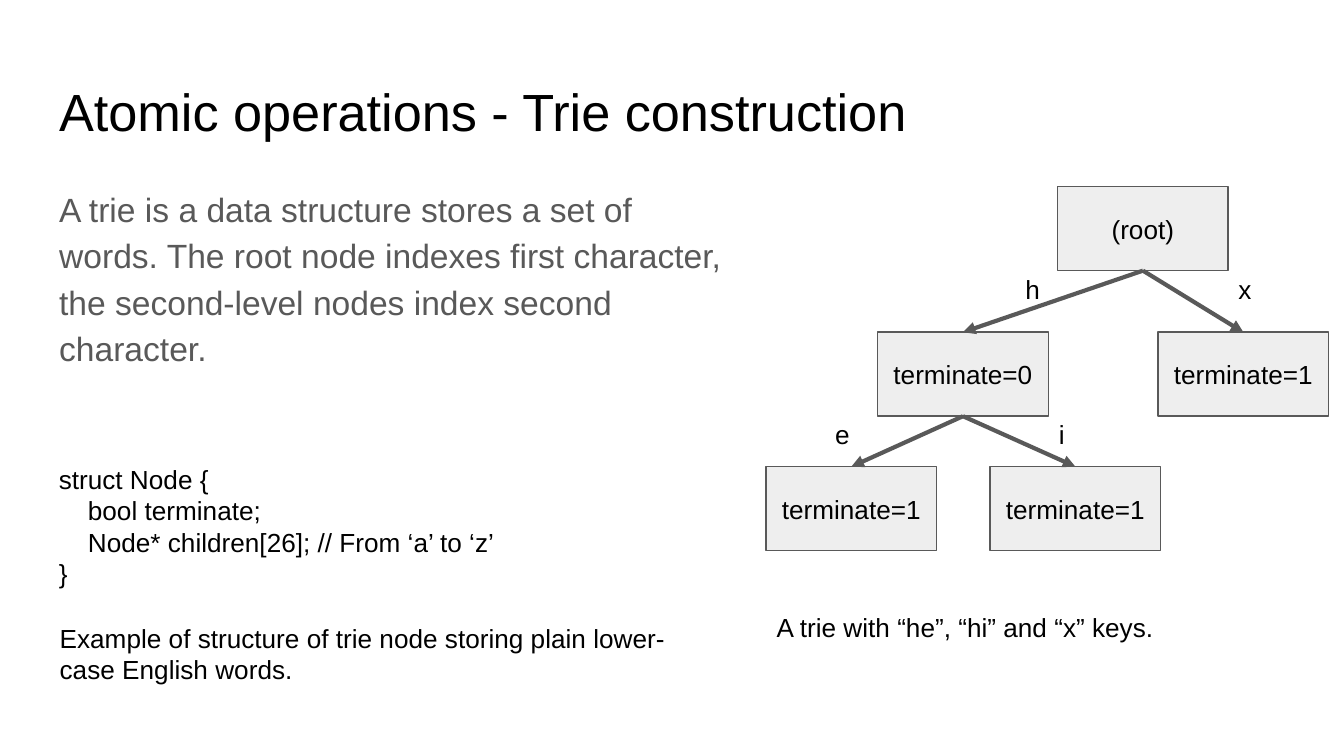
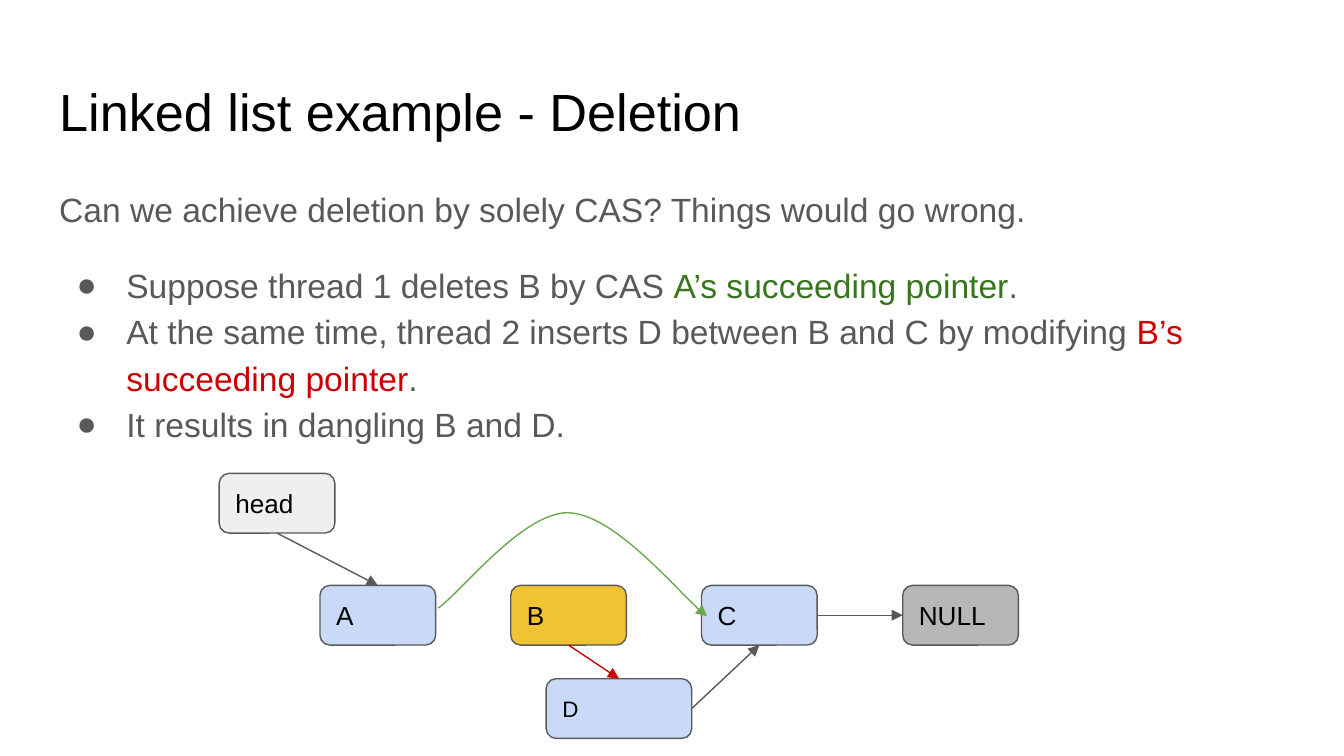
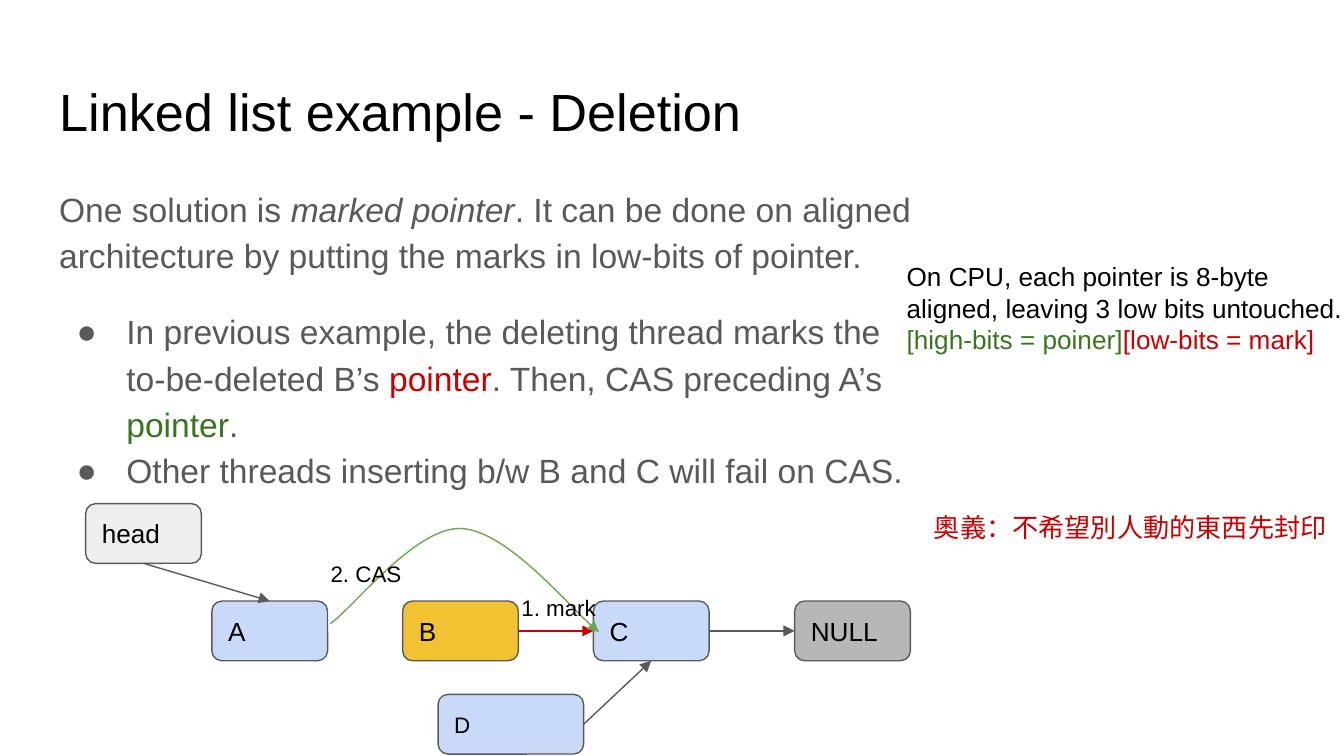
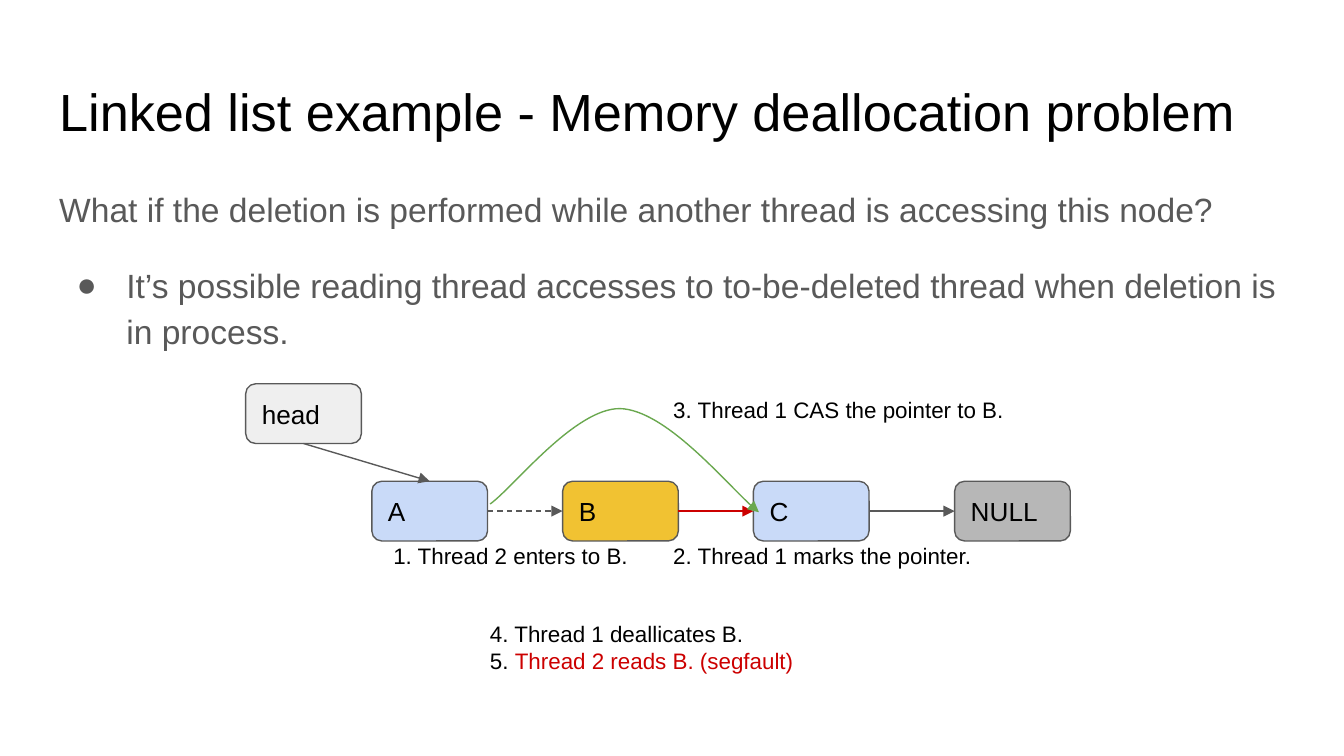
from dataclasses import dataclass
from enum import IntEnum
from typing import NamedTuple

from lxml import etree
from pptx import Presentation
from pptx import util as u
from pptx.dml import color
from pptx.enum import dml, shapes, text
from pptx.oxml import ns

# Shared look
FONT = "Arial"
BLACK, GREY = "000000", "595959"
GREEN, RED, ARC_GREEN = "38761D", "CC0000", "6AA84F"
TRIE_FILL, HEAD_FILL, NULL_FILL = "EEEEEE", "EFEFEF", "B7B7B7"
BLUE_FILL, YELLOW_FILL = "C9DAF8", "F1C232"
THIN, THICK = 0.75, 2.25
INSET = 7.2
LEFT, CENTER = text.PP_ALIGN.LEFT, text.PP_ALIGN.CENTER

# Linked list geometry, measured from the corner of node A
NODE_W, NODE_H = 62, 32
PITCH, NULL_X = 102.2, 312.2
D_OFFSET, D_W = (121.2, 50), 78
ARC = [(63.4, 12.2), (75.6, 3.6), (108.7, -39.2), (133, -38.9),
       (157, -38.2), (195, 7.2), (207.4, 16.6)]


class Box(NamedTuple):
    x: float
    y: float
    w: float
    h: float

    def lengths(self) -> list:
        return [u.Pt(value) for value in self]


class Run(NamedTuple):
    words: str
    color: str = ""
    italic: bool = False


class Site(IntEnum):
    TOP = 0
    LEFT = 1
    BOTTOM = 2
    RIGHT = 3


@dataclass
class Para:
    runs: list[Run]
    bullet: bool = False
    indent: float = 0
    before: float = 0


@dataclass
class Node:
    label: str
    box: Box
    fill: str
    size: float = 14
    align: text.PP_ALIGN = LEFT
    outline: shapes.MSO_SHAPE = shapes.MSO_SHAPE.ROUNDED_RECTANGLE


@dataclass
class Arrow:
    start: str
    start_site: Site
    end: str
    end_site: Site
    color: str = GREY
    width: float = THIN
    dashed: bool = False


def plain(words: str, indent: float = 0) -> Para:
    return Para([Run(words)], indent=indent)


def rgb(value: str) -> color.RGBColor:
    return color.RGBColor.from_string(value)


def sub(parent, tag: str, **attributes: str):
    return etree.SubElement(parent, ns.qn(tag), attributes)


# Text
def write(frame, paras: list[Para], size: float, ink: str, align=LEFT,
          anchor=text.MSO_ANCHOR.TOP, spacing: float = 1) -> None:
    frame.word_wrap = True
    frame.auto_size = text.MSO_AUTO_SIZE.NONE
    frame.vertical_anchor = anchor
    frame.margin_left = frame.margin_right = u.Pt(INSET)
    frame.margin_top = frame.margin_bottom = u.Pt(INSET)
    for index, para in enumerate(paras):
        line = frame.add_paragraph() if index else frame.paragraphs[0]
        line.alignment = align
        line.line_spacing = spacing
        line.space_before, line.space_after = u.Pt(para.before), u.Pt(0)
        props = line._p.get_or_add_pPr()
        props.set("marL", str(u.Pt(36 if para.bullet else para.indent)))
        props.set("indent", str(u.Pt(-26.6 if para.bullet else 0)))
        if para.bullet:
            sub(sub(props, "a:buClr"), "a:srgbClr", val=ink)
            sub(props, "a:buFont", typeface=FONT)
            sub(props, "a:buChar", char="●")
        else:
            sub(props, "a:buNone")
        for part in para.runs:
            run = line.add_run()
            run.text = part.words
            run.font.name, run.font.size = FONT, u.Pt(size)
            run.font.italic = part.italic
            run.font.color.rgb = rgb(part.color or ink)


def add_note(slide, box: Box, paras: list[Para], size: float = 14,
             ink: str = BLACK) -> None:
    note = slide.shapes.add_textbox(*box.lengths())
    write(note.text_frame, paras, size, ink)


def place(holder, box: Box) -> None:
    holder.left, holder.top, holder.width, holder.height = box.lengths()


def add_topic(deck, heading: str, body: list[Para], body_width: float = 671):
    slide = deck.slides.add_slide(deck.slide_layouts[1])
    title, content = slide.placeholders
    place(title, Box(24.5, 35, 671, 45))
    write(title.text_frame, [plain(heading)], 28, BLACK)
    place(content, Box(24.5, 90.7, body_width, 269))
    write(content.text_frame, body, 18, GREY, spacing=1.15)
    return slide


# Nodes and arrows
def add_node(slide, node: Node):
    shape = slide.shapes.add_shape(node.outline, *node.box.lengths())
    shape.shadow.inherit = False
    shape.fill.solid()
    shape.fill.fore_color.rgb = rgb(node.fill)
    style_line(shape.line, GREY, THIN)
    write(shape.text_frame, [plain(node.label)], node.size, BLACK,
          node.align, text.MSO_ANCHOR.MIDDLE)
    return shape


def style_line(line, ink: str, width: float) -> None:
    line.color.rgb = rgb(ink)
    line.width = u.Pt(width)


def add_head(shape) -> None:
    sub(shape.line._get_or_add_ln(), "a:tailEnd", type="triangle")


def add_arrow(slide, nodes: dict, arrow: Arrow) -> None:
    link = slide.shapes.add_connector(shapes.MSO_CONNECTOR.STRAIGHT, 0, 0, 0, 0)
    link.begin_connect(nodes[arrow.start], arrow.start_site)
    link.end_connect(nodes[arrow.end], arrow.end_site)
    style_line(link.line, arrow.color, arrow.width)
    if arrow.dashed:
        link.line.dash_style = dml.MSO_LINE.DASH
    add_head(link)
    sub(link._element.spPr, "a:effectLst")


def add_arc(slide, x: float, y: float) -> None:
    """Draw the CAS arc from A over B to C, as two cubic curves."""
    points = [(u.Pt(x + dx), u.Pt(y + dy)) for dx, dy in ARC]
    builder = slide.shapes.build_freeform(*points[0])
    builder.add_line_segments(points[1:], close=False)
    arc = builder.convert_to_shape()
    segments = arc._element.xpath(".//a:lnTo")
    for first in range(0, len(segments), 3):
        curve = etree.Element(ns.qn("a:cubicBezTo"))
        segments[first].addprevious(curve)
        for segment in segments[first:first + 3]:
            curve.append(segment[0])
            segment.getparent().remove(segment)
    arc.shadow.inherit = False
    arc.fill.background()
    style_line(arc.line, ARC_GREEN, THIN)
    add_head(arc)


def add_list(slide, x: float, y: float, head_offset: tuple[float, float],
             arrows: list[Arrow], with_d: bool = True) -> None:
    """Draw the linked list with node A at x, y."""
    places = [("A", 0, 0, NODE_W, BLUE_FILL, 14),
              ("B", PITCH, 0, NODE_W, YELLOW_FILL, 14),
              ("C", 2 * PITCH, 0, NODE_W, BLUE_FILL, 14),
              ("NULL", NULL_X, 0, NODE_W, NULL_FILL, 14),
              ("head", *head_offset, NODE_W, HEAD_FILL, 14)]
    common = [Arrow("C", Site.RIGHT, "NULL", Site.LEFT),
              Arrow("head", Site.BOTTOM, "A", Site.TOP)]
    if with_d:
        places.append(("D", *D_OFFSET, D_W, BLUE_FILL, 12))
        common.append(Arrow("D", Site.RIGHT, "C", Site.BOTTOM))
    nodes = {label: add_node(slide, Node(label, Box(x + dx, y + dy, w, NODE_H), fill, size))
             for label, dx, dy, w, fill, size in places}
    for arrow in common + arrows:
        add_arrow(slide, nodes, arrow)
    add_arc(slide, x, y)


deck = Presentation()
deck.slide_width, deck.slide_height = u.Pt(720), u.Pt(405)

# Slide 1: trie construction
trie = add_topic(deck, "Atomic operations - Trie construction", [plain(
    "A trie is a data structure stores a set of words. The root node indexes "
    "first character, the second-level nodes index second character.")], 376.5)
TRIE_NODES = {"root": ("(root)", 566.6, 100), "h": ("terminate=0", 470.2, 178),
              "x": ("terminate=1", 620.4, 178), "he": ("terminate=1", 410.4, 250),
              "hi": ("terminate=1", 530.4, 250)}
trie_nodes = {
    key: add_node(trie, Node(label, Box(x, y, 91.4, 45), TRIE_FILL, align=CENTER,
                             outline=shapes.MSO_SHAPE.RECTANGLE))
    for key, (label, x, y) in TRIE_NODES.items()}
for parent, child in [("root", "h"), ("root", "x"), ("h", "he"), ("h", "hi")]:
    add_arrow(trie, trie_nodes, Arrow(parent, Site.BOTTOM, child, Site.TOP, width=THICK))
for letter, x, y in [("h", 542.2, 139), ("e", 440.4, 217), ("i", 560.2, 217), ("x", 656.4, 139)]:
    add_note(trie, Box(x, y, 45, 39.6), [plain(letter)])
add_note(trie, Box(409, 320.2, 341, 39.6), [plain("A trie with “he”, “hi” and “x” keys.")])
add_note(trie, Box(24.4, 241, 286, 91), [
    plain("struct Node {"),
    plain("bool terminate;", 15.6),
    plain("Node* children[26]; // From ‘a’ to ‘z’", 15.6),
    plain("}")])
add_note(trie, Box(24.9, 326, 341, 39.6), [plain(
    "Example of structure of trie node storing plain lower-case English words.")])

# Slide 2: deletion by CAS alone
deletion = add_topic(deck, "Linked list example - Deletion", [
    plain("Can we achieve deletion by solely CAS? Things would go wrong."),
    Para([Run("Suppose thread 1 deletes B by CAS "),
          Run("A’s succeeding pointer", GREEN), Run(".")], bullet=True, before=16),
    Para([Run("At the same time, thread 2 inserts D between B and C by modifying "),
          Run("B’s succeeding pointer", RED), Run(".")], bullet=True),
    Para([Run("It results in dangling B and D.")], bullet=True)])
add_list(deletion, 171.4, 313.6, (-54, -60),
         [Arrow("B", Site.BOTTOM, "D", Site.TOP, RED)])

# Slide 3: marked pointer
MARK = Arrow("B", Site.RIGHT, "C", Site.LEFT, RED)
LOW_HEAD = (-67.6, -52.2)
marking = add_topic(deck, "Linked list example - Deletion", [
    Para([Run("One solution is "), Run("marked pointer", italic=True),
          Run(". It can be done on aligned architecture by putting the marks "
              "in low-bits of pointer.")]),
    Para([Run("In previous example, the deleting thread marks the to-be-deleted B’s "),
          Run("pointer", RED), Run(". Then, CAS preceding A’s "),
          Run("pointer", GREEN), Run(".")], bullet=True, before=16),
    Para([Run("Other threads inserting b/w B and C will fail on CAS.")], bullet=True)], 478)
add_note(marking, Box(478.6, 132.5, 248.4, 64), [
    plain("On CPU, each pointer is 8-byte aligned, leaving 3 low bits untouched."),
    Para([Run("[high-bits = poiner]", GREEN), Run("[low-bits = mark]", RED)])])
add_list(marking, 113.5, 322, LOW_HEAD, [MARK])
add_note(marking, Box(272.2, 311, 62, 30), [plain("1. mark")], 12)
add_note(marking, Box(170, 293, 62, 30), [plain("2. CAS")], 12)
add_note(marking, Box(493.2, 267, 267, 39.6), [plain("奧義:不希望別人動的東西先封印".replace(":", "："))], ink=RED)

# Slide 4: memory deallocation
release = add_topic(deck, "Linked list example - Memory deallocation problem", [
    plain("What if the deletion is performed while another thread is accessing this node?"),
    Para([Run("It’s possible reading thread accesses to to-be-deleted thread when "
              "deletion is in process.")], bullet=True, before=16)])
add_list(release, 199.2, 257.8, LOW_HEAD,
         [MARK, Arrow("A", Site.RIGHT, "B", Site.LEFT, dashed=True)], with_d=False)
for step, x, y in [("2. Thread 1 marks the pointer.", 353.6, 283),
                   ("1. Thread 2 enters to B.", 203.6, 283),
                   ("3. Thread 1 CAS the pointer to B.", 353.6, 205)]:
    add_note(release, Box(x, y, 194.4, 30), [plain(step)], 12)
add_note(release, Box(255.4, 325.2, 194.4, 45), [
    plain("4. Thread 1 deallicates B."),
    Para([Run("5. "), Run("Thread 2 reads B. (segfault)", RED)])], 12)

deck.save("out.pptx")
